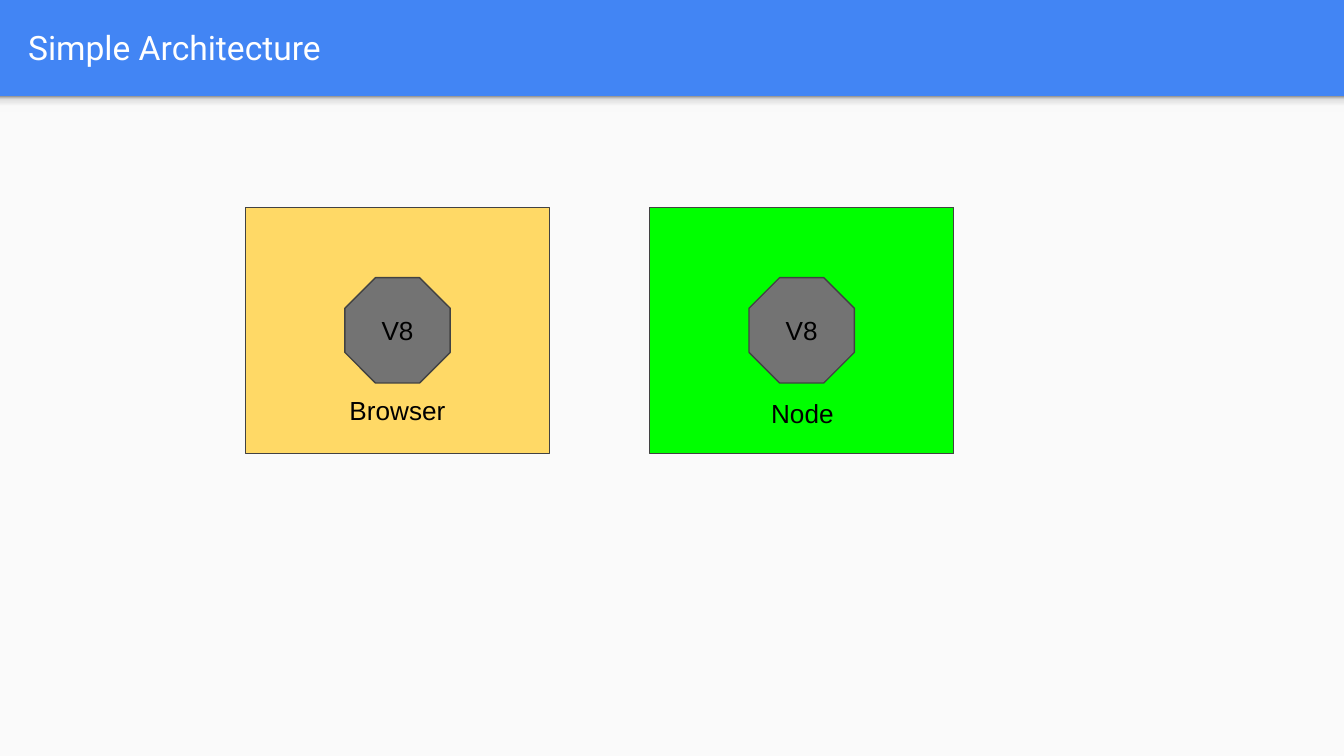
from copy import deepcopy

from pptx import Presentation
from pptx.dml.color import RGBColor
from pptx.enum.shapes import MSO_SHAPE as SHAPE
from pptx.enum.text import MSO_ANCHOR as ANCHOR, PP_ALIGN as ALIGN
from pptx.oxml.ns import qn
from pptx.util import Pt

BLUE = RGBColor(0x42, 0x85, 0xF4)
PAPER = RGBColor(0xFA, 0xFA, 0xFA)
YELLOW = RGBColor(0xFF, 0xD9, 0x66)
GREEN = RGBColor(0x00, 0xFF, 0x00)
GRAY = RGBColor(0x73, 0x73, 0x73)
OUTLINE = RGBColor(0x42, 0x42, 0x42)
BLACK = RGBColor(0x00, 0x00, 0x00)
WHITE = RGBColor(0xFF, 0xFF, 0xFF)
SHADE_LIGHT = RGBColor(0xF9, 0xF9, 0xF9)
SHADE_MID = RGBColor(0xDE, 0xDE, 0xDE)
SHADE_DARK = RGBColor(0x99, 0x99, 0x99)

SLIDE_W, SLIDE_H = 720, 405
HEADER_H = 51.5
BOX_W, BOX_H, BOX_TOP = 163, 132, 111
ENGINE_SIZE = 56.4


class Deck:
    font = "Arial"
    size = 14
    inset = 7.2

    def __init__(self, slide):
        self.slide = slide

    def label(self, sp, text, anchor=ANCHOR.MIDDLE, align=ALIGN.CENTER,
              font=None, size=None, color=BLACK, bottom=None):
        tf = sp.text_frame
        tf.word_wrap = True
        tf.vertical_anchor = anchor
        tf.margin_left = tf.margin_right = tf.margin_top = Pt(self.inset)
        tf.margin_bottom = Pt(self.inset if bottom is None else bottom)
        tf.text = text
        p = tf.paragraphs[0]
        p.alignment = align
        r = p.runs[0]
        r.font.name = font or self.font
        r.font.size = Pt(size or self.size)
        r.font.color.rgb = color

    def shape(self, kind, x, y, w, h, fill, line=None):
        sp = self.slide.shapes.add_shape(kind, Pt(x), Pt(y), Pt(w), Pt(h))
        sp.shadow.inherit = False
        sp.fill.solid()
        sp.fill.fore_color.rgb = fill
        if line is None:
            sp.line.fill.background()
        else:
            sp.line.color.rgb = line
            sp.line.width = Pt(0.75)
        return sp

    def gradient(self, x, y, w, h, stops):
        sp = self.shape(SHAPE.RECTANGLE, x, y, w, h, stops[0][1])
        sp.fill.gradient()
        sp.fill.gradient_angle = 90
        gs_list = sp.element.spPr.find(qn("a:gradFill")).find(qn("a:gsLst"))
        while len(gs_list) < len(stops):
            gs_list.append(deepcopy(gs_list[0]))
        for stop, (position, color) in zip(sp.fill.gradient_stops, stops):
            stop.position = position
            stop.color.rgb = color

    def text(self, x, y, w, h, text, **style):
        sp = self.slide.shapes.add_textbox(Pt(x), Pt(y), Pt(w), Pt(h))
        self.label(sp, text, **style)

    def runtime(self, x, fill):
        box = self.shape(SHAPE.RECTANGLE, x, BOX_TOP, BOX_W, BOX_H, fill, OUTLINE)
        engine = self.shape(SHAPE.OCTAGON, x + (BOX_W - ENGINE_SIZE) / 2,
                            BOX_TOP + (BOX_H - ENGINE_SIZE) / 2,
                            ENGINE_SIZE, ENGINE_SIZE, GRAY, OUTLINE)
        engine.adjustments[0] = 0.29
        self.label(engine, "V8")
        return box


def main():
    prs = Presentation()
    prs.slide_width, prs.slide_height = Pt(SLIDE_W), Pt(SLIDE_H)
    s = prs.slides.add_slide(prs.slide_layouts[6])
    s.background.fill.solid()
    s.background.fill.fore_color.rgb = BLUE
    deck = Deck(s)

    deck.shape(SHAPE.RECTANGLE, 0, HEADER_H, SLIDE_W, SLIDE_H - HEADER_H, PAPER)
    deck.gradient(0, HEADER_H, SLIDE_W, 8.6,
                  [(0, SHADE_LIGHT), (0.36, SHADE_LIGHT),
                   (0.8, SHADE_MID), (1, SHADE_DARK)])

    browser = deck.runtime(131.5, YELLOW)
    deck.label(browser, "Browser", anchor=ANCHOR.BOTTOM, bottom=15)
    deck.runtime(348, GREEN)
    deck.text(406, 205.5, 385, 39.5, "Node", anchor=ANCHOR.TOP, align=ALIGN.LEFT)
    deck.text(8, 1.5, 695, 47.5, "Simple Architecture", align=ALIGN.LEFT,
              font="Roboto", size=18, color=WHITE)

    prs.save("out.pptx")


if __name__ == "__main__":
    main()
